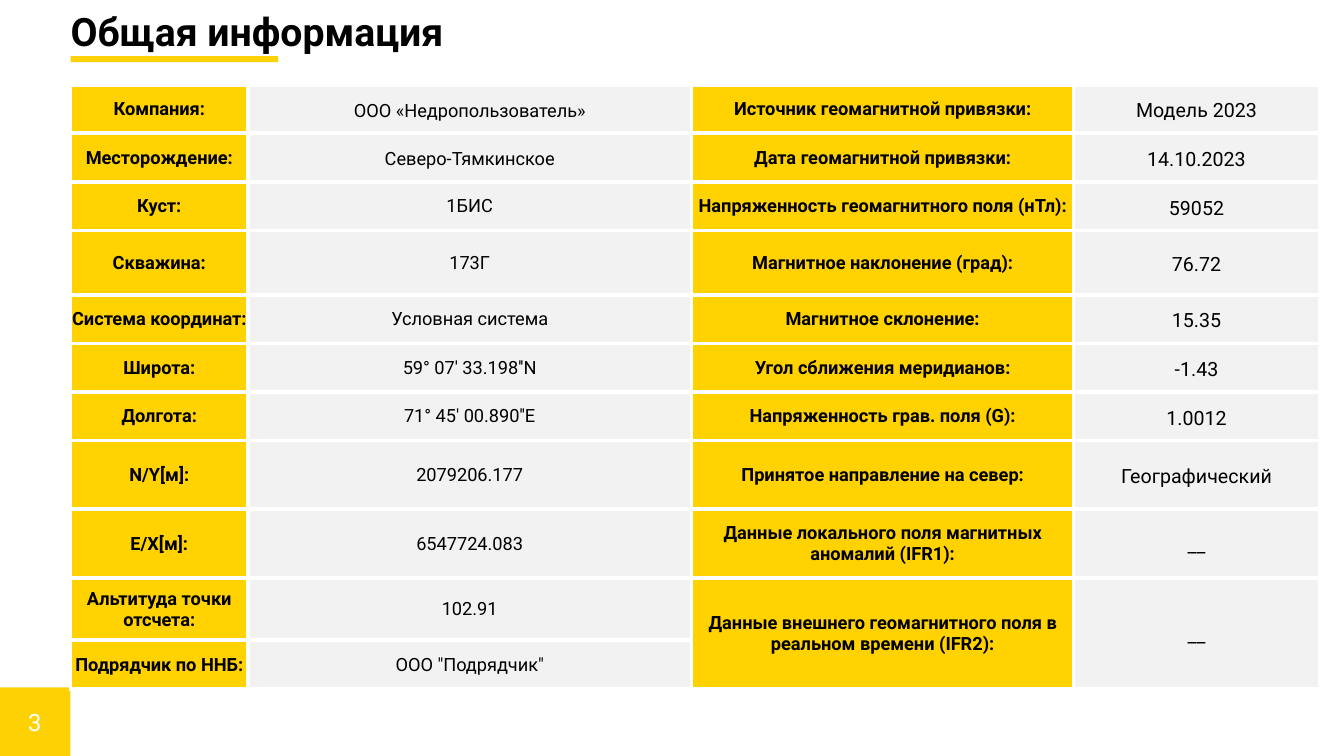
from dataclasses import dataclass

from lxml.etree import SubElement
from pptx import Presentation
from pptx.dml.color import RGBColor
from pptx.enum.shapes import MSO_SHAPE as Kind
from pptx.enum.text import MSO_ANCHOR as Anchor, MSO_AUTO_SIZE as Fit, PP_ALIGN as Align
from pptx.oxml.ns import qn
from pptx.util import Pt

FONT = "Roboto"
BLACK, WHITE = "000000", "FFFFFF"
ACCENT, GOLD, GREY = "FED104", "FFD200", "F2F2F2"


@dataclass
class Row:
    label: str
    value: str
    geo: str = ""
    level: str = ""
    height: float = 34.7
    lead: float = 1.0


@dataclass
class Bar:
    left: float
    top: float
    width: float
    height: float


ROWS = [
    Row("Компания:", "ООО «Недропользователь»",
        "Источник геомагнитной привязки:", "Модель 2023", lead=1.15),
    Row("Месторождение:", "Северо-Тямкинское",
        "Дата геомагнитной привязки:", "14.10.2023", lead=1.15),
    Row("Куст:", "1БИС", "Напряженность геомагнитного поля (нТл):", "59052"),
    Row("Скважина:", "173Г", "Магнитное наклонение (град):", "76.72", 46),
    Row("Система координат:", "Условная система", "Магнитное склонение:", "15.35"),
    Row("Широта:", "59° 07' 33.198''N", "Угол сближения меридианов:", "-1.43"),
    Row("Долгота:", "71° 45' 00.890''E", "Напряженность грав. поля (G):", "1.0012"),
    Row("N/Y[м]:", "2079206.177", "Принятое направление на север:", "Географический", 49),
    Row("E/X[м]:", "6547724.083",
        "Данные локального поля магнитных аномалий (IFR1):", "__", 49.4),
    Row("Альтитуда точки отсчета:", "102.91",
        "Данные внешнего геомагнитного поля в реальном времени (IFR2):", "__", 44.3),
    Row("Подрядчик по ННБ:", 'ООО "Подрядчик"'),
]
COLS = [126.7, 316.8, 273, 175.7]
BARS = [Bar(0, 491, 50.4, 49), Bar(50.4, 40.2, 148.3, 4.3)]


def color(code: str) -> RGBColor:
    return RGBColor.from_string(code)


def write(frame, text: str, *, size: float = 13, ink: str = BLACK, bold: bool = False,
          align=Align.CENTER, lead: float = 1.0) -> None:
    para = frame.paragraphs[0]
    para.alignment, para.line_spacing = align, lead
    run = para.add_run()
    run.text = text
    font = run.font
    font.name, font.size, font.bold = FONT, Pt(size), bold
    font.color.rgb = color(ink)


def edge(cell, code: str, width: float) -> None:
    """Put a solid border on all four sides of a cell."""
    props = cell._tc.get_or_add_tcPr()
    for spot, side in enumerate(("lnL", "lnR", "lnT", "lnB")):
        line = SubElement(props, qn(f"a:{side}"), w=str(Pt(width)))
        fill = SubElement(line, qn("a:solidFill"))
        SubElement(fill, qn("a:srgbClr"), val=code)
        props.insert(spot, line)


def add_bar(slide, bar: Bar) -> None:
    shape = slide.shapes.add_shape(
        Kind.RECTANGLE, Pt(bar.left), Pt(bar.top), Pt(bar.width), Pt(bar.height))
    shape.shadow.inherit = False
    shape.fill.solid()
    shape.fill.fore_color.rgb = color(ACCENT)
    shape.line.fill.background()


def add_title(slide, text: str) -> None:
    title = slide.shapes.title
    title.left, title.top, title.width, title.height = Pt(43.2), Pt(1.4), Pt(314), Pt(41)
    frame = title.text_frame
    frame.word_wrap, frame.auto_size = True, Fit.NONE
    frame.vertical_anchor = Anchor.MIDDLE
    write(frame, text, size=28, bold=True, align=Align.LEFT)


def add_page(slide, text: str) -> None:
    box = slide.shapes.add_textbox(Pt(13), Pt(501.8), Pt(23.8), Pt(28))
    box.text_frame.word_wrap = False
    write(box.text_frame, text, size=17, ink=WHITE)


def add_grid(slide, rows: list[Row]) -> None:
    table = slide.shapes.add_table(
        len(rows), len(COLS), Pt(50.4), Pt(60.5),
        Pt(sum(COLS)), Pt(sum(row.height for row in rows))).table
    table.first_row = table.horz_banding = False
    for col, width in zip(table.columns, COLS):
        col.width = Pt(width)
    for r, row in enumerate(rows):
        table.rows[r].height = Pt(row.height)
        for c, text in enumerate((row.label, row.value, row.geo, row.level)):
            cell = table.cell(r, c)
            head = c % 2 == 0
            cell.fill.solid()
            cell.fill.fore_color.rgb = color(GOLD if head else GREY)
            edge(cell, WHITE, 3)
            cell.vertical_anchor = Anchor.MIDDLE
            cell.margin_left = cell.margin_right = cell.margin_top = Pt(0.7)
            cell.margin_bottom = Pt(0)
            if text:
                last = c == 3
                lead = 1.15 if last else 1.0 if head else row.lead
                write(cell.text_frame, text, size=14 if last else 13,
                      bold=head, lead=lead)
    end = len(rows) - 1
    for c in (2, 3):
        table.cell(end - 1, c).merge(table.cell(end, c))


def main() -> None:
    deck = Presentation()
    deck.slide_width, deck.slide_height = Pt(960), Pt(540)
    slide = deck.slides.add_slide(deck.slide_layouts[5])
    add_title(slide, "Общая информация")
    for bar in BARS:
        add_bar(slide, bar)
    add_page(slide, "3")
    add_grid(slide, ROWS)
    deck.save("out.pptx")


if __name__ == "__main__":
    main()
